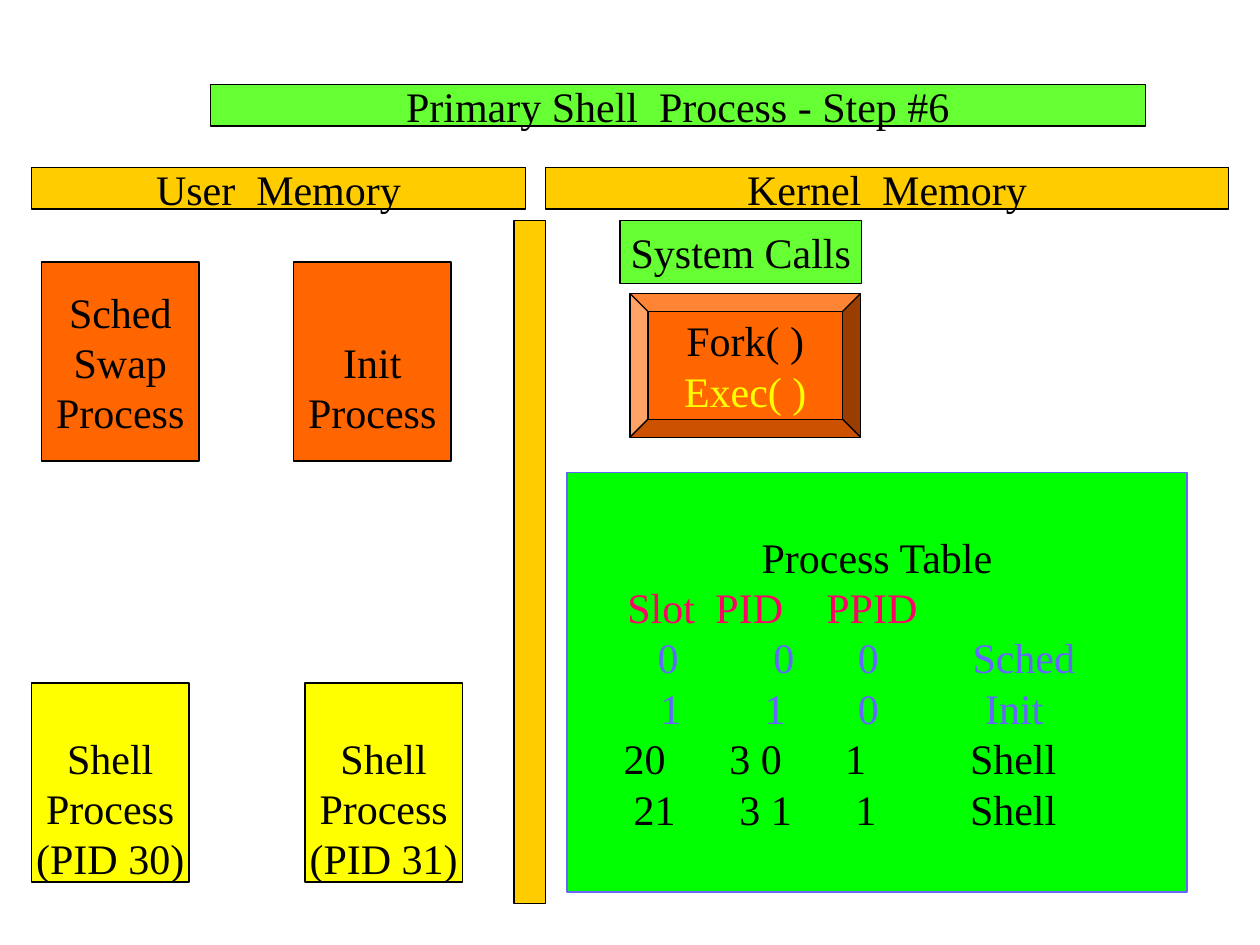
from dataclasses import dataclass

import pptx
import pptx.dml.color
import pptx.enum.shapes
import pptx.enum.text
import pptx.oxml
import pptx.oxml.ns
import pptx.util
from pptx.util import Inches


@dataclass(frozen=True)
class Theme:
    font: str = "Times New Roman"
    size: float = 24
    line_pitch: float = 28.8
    outline: float = 0.75
    black: str = "000000"
    lime: str = "66FF33"
    gold: str = "FFCC00"
    orange: str = "FF6600"
    yellow: str = "FFFF00"
    green: str = "00FF00"
    violet: str = "6666FF"
    pink: str = "FF0066"


THEME = Theme()
RECTANGLE = pptx.enum.shapes.MSO_SHAPE.RECTANGLE
BEVEL = pptx.enum.shapes.MSO_SHAPE.BEVEL

# Cells, tab stops in inches from the text edge, and colour of each row
PROCESS_ROWS = [
    (["Slot", "PID", "PPID"], [0.38, 1.08, 1.96], THEME.pink),
    (["0", "0", "0", "Sched"], [0.62, 1.54, 2.21, 3.12], THEME.violet),
    (["1", "1", "0", "Init"], [0.64, 1.47, 2.21, 3.22], THEME.violet),
    (["20", "3 0", "1", "Shell"], [0.35, 1.19, 2.11, 3.1], THEME.black),
    (["21", "3 1", "1", "Shell"], [0.43, 1.27, 2.19, 3.1], THEME.black),
]


def rgb(color):
    return pptx.dml.color.RGBColor.from_string(color)


def paint(shape, fill, line=THEME.black):
    shape.fill.solid()
    shape.fill.fore_color.rgb = rgb(fill)
    shape.line.color.rgb = rgb(line)
    shape.line.width = pptx.util.Pt(THEME.outline)


def add_tab_stops(paragraph, stops):
    properties = paragraph._p.get_or_add_pPr()
    tab_list = pptx.oxml.ns.qn("a:tabLst")
    tabs = properties.makeelement(tab_list, {})
    properties.append(tabs)
    for stop in stops:
        tab = tabs.makeelement(pptx.oxml.ns.qn("a:tab"),
                               {"pos": str(Inches(stop)), "algn": "l"})
        tabs.append(tab)


def format_paragraph(paragraph, color=THEME.black, stops=()):
    """Style a paragraph: centred, or set from the left on tab stops."""
    align = pptx.enum.text.PP_ALIGN
    paragraph.alignment = align.LEFT if stops else align.CENTER
    paragraph.line_spacing = pptx.util.Pt(THEME.line_pitch)
    if stops:
        add_tab_stops(paragraph, stops)
    paragraph.font.name = THEME.font
    paragraph.font.size = pptx.util.Pt(THEME.size)
    paragraph.font.color.rgb = rgb(color)


def write_lines(shape, lines, inset_top=0.05, wrap=False):
    frame = shape.text_frame
    frame.word_wrap = wrap
    frame.auto_size = pptx.enum.text.MSO_AUTO_SIZE.NONE
    frame.vertical_anchor = pptx.enum.text.MSO_ANCHOR.MIDDLE
    frame.margin_left = frame.margin_right = Inches(0.1)
    frame.margin_top, frame.margin_bottom = Inches(inset_top), Inches(0.05)
    frame.text = "\n".join(lines)
    for paragraph in frame.paragraphs:
        format_paragraph(paragraph)


def add_box(slide, position, fill, lines=(), kind=RECTANGLE,
            line=THEME.black, **text_options):
    shape = slide.shapes.add_shape(kind, *map(Inches, position))
    shape.shadow.inherit = False
    paint(shape, fill, line)
    if lines:
        write_lines(shape, lines, **text_options)
    return shape


def add_title(slide, text):
    title = slide.shapes.title
    title.left, title.top = Inches(1.67), Inches(0.67)
    title.width, title.height = Inches(7.42), Inches(0.33)
    paint(title, THEME.lime)
    write_lines(title, [text])


def add_process(slide, left, top, fill, lines, inset_top=0.45):
    add_box(slide, (left, top, 1.25, 1.58), fill, lines, inset_top=inset_top)


def add_system_calls(slide):
    add_box(slide, (4.92, 1.75, 1.92, 0.5), THEME.lime, ["System Calls"])
    calls = add_box(slide, (5, 2.33, 1.83, 1.14), THEME.orange,
                    ["Fork( )", "Exec( )"], kind=BEVEL)
    calls.text_frame.paragraphs[1].font.color.rgb = rgb(THEME.yellow)


def add_process_table(slide):
    panel = add_box(slide, (4.5, 3.75, 4.92, 3.33), THEME.green,
                    ["Process Table"], line=THEME.violet, wrap=True)
    for cells, stops, color in PROCESS_ROWS:
        paragraph = panel.text_frame.add_paragraph()
        paragraph.text = "".join("\t" + cell for cell in cells)
        format_paragraph(paragraph, color, stops)


def main():
    presentation = pptx.Presentation()
    presentation.slide_width, presentation.slide_height = Inches(10), Inches(7.5)
    slide = presentation.slides.add_slide(presentation.slide_layouts[5])

    add_title(slide, "Primary Shell  Process - Step #6")
    add_box(slide, (4.08, 1.75, 0.25, 5.42), THEME.gold)
    add_box(slide, (4.33, 1.33, 5.42, 0.33), THEME.gold, ["Kernel  Memory"])
    add_box(slide, (0.25, 1.33, 3.92, 0.33), THEME.gold, ["User  Memory"])
    add_system_calls(slide)

    add_process(slide, 0.33, 2.08, THEME.orange,
                ["Sched", "Swap", "Process"], inset_top=0.05)
    add_process(slide, 2.33, 2.08, THEME.orange, ["Init", "Process"])
    for left, pid in ((0.25, 30), (2.42, 31)):
        add_process(slide, left, 5.42, THEME.yellow,
                    ["Shell", "Process", f"(PID {pid})"])
    add_process_table(slide)

    presentation.save("out.pptx")


if __name__ == "__main__":
    main()
